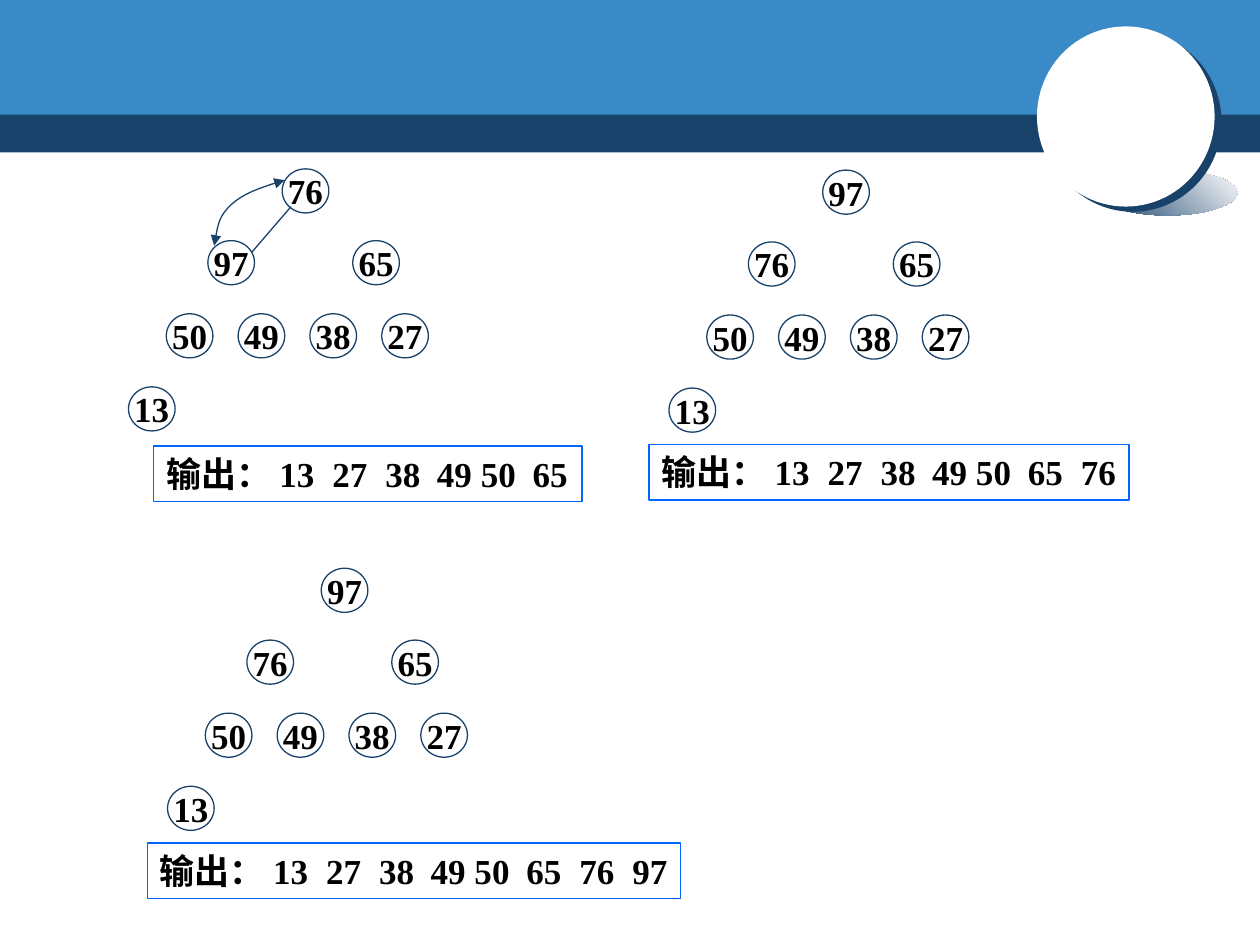
from lxml import etree
from pptx import Presentation
from pptx.dml.color import RGBColor
from pptx.enum import shapes, text
from pptx.oxml import ns
from pptx.util import Inches, Pt

NAVY, SKY, BLUE, WHITE, BLACK = "19426B", "398AC7", "0066FF", "FFFFFF", "000000"
OVAL, RECT = shapes.MSO_SHAPE.OVAL, shapes.MSO_SHAPE.RECTANGLE
NODE_W, NODE_H = 0.37, 0.35
# Offsets of the heap nodes in level order
NODES = [(1.22, 0), (0.63, 0.57), (1.78, 0.57),
         *((0.3 + 0.57 * i, 1.15) for i in range(4)), (0, 1.73)]
STOPS = [0.9, 1.32, 1.74, 2.15, 2.91, 3.33, 3.75]


def rgb(code):
    return RGBColor.from_string(code)


def sub(parent, tag, **attrs):
    return etree.SubElement(parent, ns.qn(tag), attrs)


def paint(shape, fill=None, line=None):
    shape.shadow.inherit = False
    if fill:
        shape.fill.solid()
        shape.fill.fore_color.rgb = rgb(fill)
    else:
        shape.fill.background()
    if line:
        shape.line.color.rgb = rgb(line)
        shape.line.width = Pt(0.75)
    else:
        shape.line.fill.background()


def add(parts, kind, box, fill=None, line=None):
    shape = parts.add_shape(kind, *map(Inches, box))
    paint(shape, fill, line)
    return shape


def write(shape, words, align, frame, stops=()):
    for name, value in frame.items():
        setattr(shape.text_frame, name, value)
    para = shape.text_frame.paragraphs[0]
    para.alignment = align
    if stops:
        tabs = sub(para._p.get_or_add_pPr(), "a:tabLst")
        for stop in stops:
            sub(tabs, "a:tab", pos=str(Inches(stop)), algn="l")
    run = para.add_run()
    run.text = words
    look = {"name": "Times New Roman", "size": Pt(20), "bold": True}
    for name, value in look.items():
        setattr(run.font, name, value)
    run.font.color.rgb = rgb(BLACK)


def banner(parts, x, y, w):
    add(parts, RECT, (x, y + 0.87, w, 0.34), NAVY)
    add(parts, RECT, (x, y, w, 0.91), SKY)
    badge = parts.add_group_shape().shapes
    glow = add(badge, OVAL, (x + 8.71, y + 1.35, 1.11, 0.36), WHITE)
    glow.fill.gradient()
    glow.fill.gradient_angle = 45
    for stop, code in zip(glow.fill.gradient_stops, (NAVY, WHITE)):
        stop.color.rgb = rgb(code)
    disc = add(badge, OVAL, (x + 8.23, y + 0.21, 1.41, 1.43), WHITE)
    shade = sub(disc._element.spPr.find(ns.qn("a:effectLst")), "a:outerShdw",
                blurRad="0", dist=str(Pt(5)), dir=str(37 * 60000),
                algn="ctr", rotWithShape="0")
    sub(shade, "a:srgbClr", val=NAVY)
    add(badge, OVAL, (x + 8.7, y + 0.71, 0.5, 0.49), WHITE)


def heap(parts, x, y, keys, out):
    """Draw the nodes from (x, y); out is the result box's offset, width and text."""
    group = parts.add_group_shape().shapes
    for key, (dx, dy) in zip(keys, NODES):
        node = add(group, OVAL, (x + dx, y + dy, NODE_W, NODE_H), line=NAVY)
        write(node, str(key), text.PP_ALIGN.CENTER,
              {"word_wrap": False, "vertical_anchor": text.MSO_ANCHOR.MIDDLE})
    dx, dy, width, words = out
    box = add(group, RECT, (x + dx, y + dy, width, 0.44), line=BLUE)
    write(box, words, text.PP_ALIGN.LEFT,
          {"word_wrap": True, "margin_right": 0,
           "vertical_anchor": text.MSO_ANCHOR.TOP}, STOPS)
    return group


def edge(parts, x, y):
    line = parts.add_connector(shapes.MSO_CONNECTOR.STRAIGHT, *map(
        Inches, (x + 1.29, y + 0.3, x + 0.98, y + 0.66)))
    line.line.color.rgb = rgb(NAVY)
    line.line.width = Pt(0.75)
    sub(line._element.spPr, "a:effectLst")


def swap(parts, x, y):
    """Draw the curved two-headed arrow between root and left child."""
    curve = [(1.24, 0.09), (1.07, 0.14), (0.91, 0.2), (0.82, 0.28),
             (0.72, 0.37), (0.7, 0.49), (0.68, 0.61)]
    points = [(Inches(x + dx), Inches(y + dy)) for dx, dy in curve]
    pen = parts.build_freeform(*points[0])
    pen.add_line_segments(points[1:], close=False)
    arc = pen.convert_to_shape()
    paint(arc, line=NAVY)
    route = next(arc._element.iter(ns.qn("a:path")))
    legs = route.findall(ns.qn("a:lnTo"))
    for i in range(0, len(legs), 3):
        bend = sub(route, "a:cubicBezTo")
        for leg in legs[i:i + 3]:
            bend.append(leg[0])
            route.remove(leg)
    for end in ("a:headEnd", "a:tailEnd"):
        sub(arc.line._get_or_add_ln(), end, type="triangle")


def main():
    deck = Presentation()
    deck.slide_width, deck.slide_height = Inches(10), Inches(7.5)
    parts = deck.slides.add_slide(deck.slide_layouts[6]).shapes
    banner(parts, 0, 0, 10)

    rest = [65, 50, 49, 38, 27, 13]
    done = "输出：\t13\t27\t38\t49 50\t65"
    first = heap(parts, 1.02, 1.34, [76, 97] + rest, (0.2, 2.2, 3.4, done))
    edge(first, 1.02, 1.34)
    swap(parts, 1.02, 1.34)
    done += "\t76"
    heap(parts, 5.31, 1.35, [97, 76] + rest, (-0.16, 2.18, 3.81, done))
    done += "\t97"
    heap(parts, 1.33, 4.51, [97, 76] + rest, (-0.16, 2.18, 4.23, done))
    deck.save("out.pptx")


if __name__ == "__main__":
    main()
